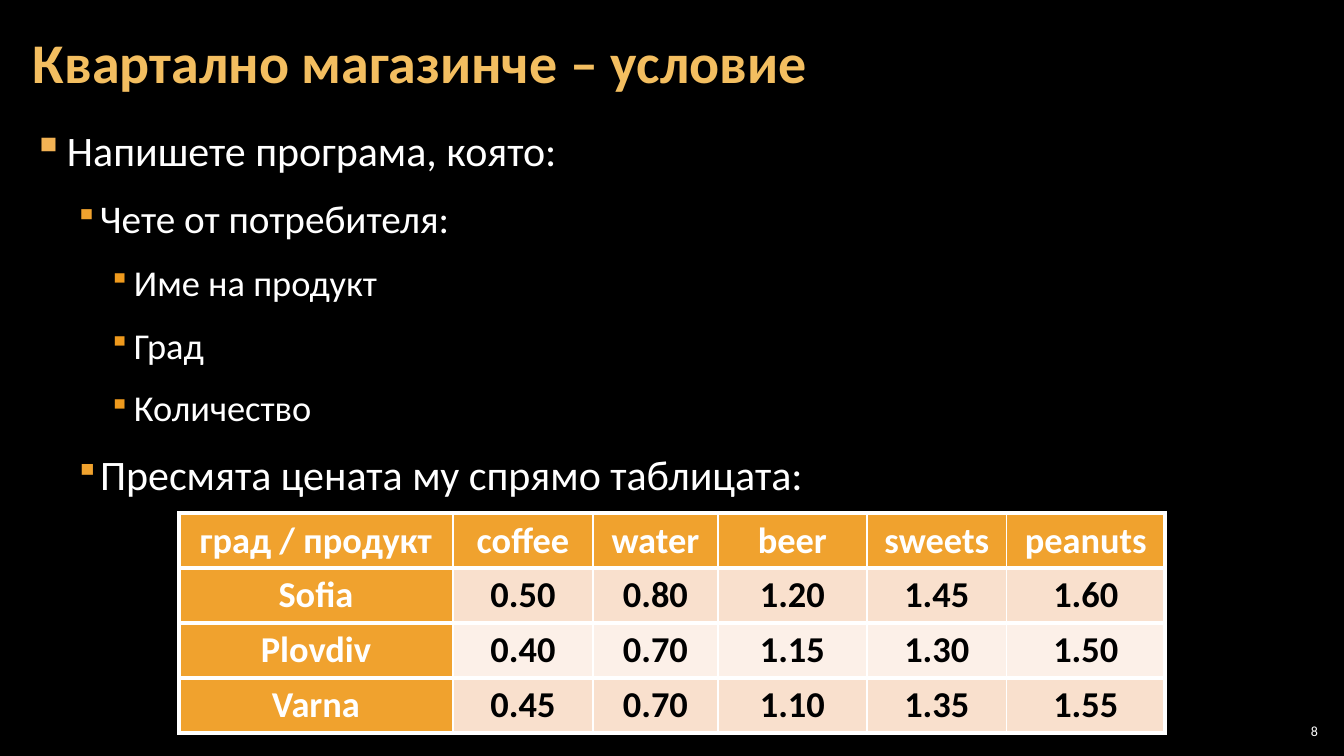
import pptx
import pptx.dml.color
import pptx.enum.text
import pptx.oxml
import pptx.oxml.ns
import pptx.util

RGBColor = pptx.dml.color.RGBColor
Align = pptx.enum.text.PP_ALIGN
Anchor = pptx.enum.text.MSO_ANCHOR

BLACK = RGBColor(0x00, 0x00, 0x00)
WHITE = RGBColor(0xFF, 0xFF, 0xFF)
TITLE_GOLD = RGBColor(0xF3, 0xBE, 0x60)
ORANGE = RGBColor(0xF0, 0xA2, 0x2E)
PEACH = RGBColor(0xF9, 0xE0, 0xCD)
PALE_PEACH = RGBColor(0xFC, 0xF0, 0xE8)

# Per level: left margin px, hanging px, bullet colour, bullet size in percent
BULLET_LEVELS = [
    (34, 34, RGBColor(0xF2, 0xB2, 0x54), 100),
    (67, 25, ORANGE, 80),
    (101, 25, RGBColor(0xEF, 0x9A, 0x1D), 80),
]

TASK_LINES = [
    (0, 30, "Напишете програма, която:"),
    (1, 28, "Чете от потребителя:"),
    (2, 26, "Име на продукт"),
    (2, 26, "Град"),
    (2, 26, "Количество"),
    (1, 30, "Пресмята цената му спрямо таблицата:"),
]

PRICES = [
    ["град / продукт", "coffee", "water", "beer", "sweets", "peanuts"],
    ["Sofia", "0.50", "0.80", "1.20", "1.45", "1.60"],
    ["Plovdiv", "0.40", "0.70", "1.15", "1.30", "1.50"],
    ["Varna", "0.45", "0.70", "1.10", "1.35", "1.55"],
]
COLUMN_WIDTHS = [274, 140, 125, 149, 140, 158]
ROW_HEIGHT = 55


def px(length):
    return pptx.util.Emu(round(length * 914400 / 100.8))


def write_text(paragraph, text, *, size, font="Calibri", color=WHITE, bold=False,
               align=Align.LEFT, line_spacing=None):
    paragraph.alignment = align
    if line_spacing:
        paragraph.line_spacing = line_spacing
    run = paragraph.add_run()
    run.text = text
    run.font.name = font
    run.font.size = pptx.util.Pt(size)
    run.font.bold = bold
    run.font.color.rgb = color


def append_xml(parent, xml):
    tag, rest = xml.split(" ", 1)
    parent.append(pptx.oxml.parse_xml(f"{tag} {pptx.oxml.ns.nsdecls('a')} {rest}"))


class SlideBuilder:
    def __init__(self, presentation, background):
        self.slide = presentation.slides.add_slide(presentation.slide_layouts[5])
        fill = self.slide.background.fill
        fill.solid()
        fill.fore_color.rgb = background

    def prepare_frame(self, shape, margin, anchor):
        frame = shape.text_frame
        frame.word_wrap = True
        frame.auto_size = pptx.enum.text.MSO_AUTO_SIZE.NONE
        frame.vertical_anchor = anchor
        frame.margin_left = frame.margin_right = px(margin)
        frame.margin_top = frame.margin_bottom = px(4)
        return frame

    def title(self, text, left, top, width, height):
        shape = self.slide.shapes.title
        shape.left, shape.top = px(left), px(top)
        shape.width, shape.height = px(width), px(height)
        frame = self.prepare_frame(shape, 12, Anchor.MIDDLE)
        write_text(frame.paragraphs[0], text, size=40, color=TITLE_GOLD,
                   bold=True, line_spacing=0.9)

    def text_box(self, left, top, width, height, margin, anchor=Anchor.TOP):
        shape = self.slide.shapes.add_textbox(px(left), px(top), px(width), px(height))
        return self.prepare_frame(shape, margin, anchor)

    def bullets(self, lines, left, top, width, height):
        frame = self.text_box(left, top, width, height, 12)
        for index, (level, size, text) in enumerate(lines):
            paragraph = frame.add_paragraph() if index else frame.paragraphs[0]
            write_text(paragraph, text, size=size, line_spacing=1.05)
            paragraph.level = level
            paragraph.space_before = paragraph.space_after = pptx.util.Pt(6)
            indent, hanging, color, percent = BULLET_LEVELS[level]
            properties = paragraph._p.get_or_add_pPr()
            properties.set("marL", str(px(indent)))
            properties.set("indent", str(-px(hanging)))
            append_xml(properties, f'<a:buClr ><a:srgbClr val="{color}"/></a:buClr>')
            append_xml(properties, f'<a:buSzPct val="{percent * 1000}"/>')
            append_xml(properties, '<a:buChar char="▪"/>')

    def page_number(self, text, left, top, width, height):
        frame = self.text_box(left, top, width, height, 4, Anchor.MIDDLE)
        write_text(frame.paragraphs[0], text, size=10, align=Align.RIGHT)

    def cell(self, cell, text, fill, color, borders):
        cell.vertical_anchor = Anchor.MIDDLE
        cell.margin_left = cell.margin_right = px(7)
        cell.margin_top = cell.margin_bottom = 0
        write_text(cell.text_frame.paragraphs[0], text, size=26, color=color,
                   bold=True, align=Align.CENTER)
        properties = cell._tc.get_or_add_tcPr()
        for side, points in borders.items():
            append_xml(properties, f'<a:ln{side} w="{pptx.util.Pt(points)}"><a:solidFill>'
                                   f'<a:srgbClr val="{WHITE}"/></a:solidFill></a:ln{side}>')
        cell.fill.solid()
        cell.fill.fore_color.rgb = fill

    def table(self, rows, column_widths, row_height, left, top):
        table = self.slide.shapes.add_table(
            len(rows), len(column_widths), px(left), px(top),
            px(sum(column_widths)), px(row_height * len(rows))).table
        for column, width in zip(table.columns, column_widths):
            column.width = px(width)
        last = len(column_widths) - 1
        for row_index, row in enumerate(rows):
            table.rows[row_index].height = px(row_height)
            for column_index, text in enumerate(row):
                is_header = row_index == 0 or column_index == 0
                band = PEACH if row_index % 2 else PALE_PEACH
                borders = {"L": 3 if column_index == 0 else 1,
                           "R": 3 if column_index == last else 1,
                           "T": 3, "B": 3}
                self.cell(table.cell(row_index, column_index), text,
                          ORANGE if is_header else band,
                          WHITE if is_header else BLACK, borders)


def main():
    presentation = pptx.Presentation()
    presentation.slide_width, presentation.slide_height = px(1344), px(756)
    builder = SlideBuilder(presentation, BLACK)

    # Heading and task description
    builder.title("Квартално магазинче – условие", 21, 4, 1055, 122)
    builder.bullets(TASK_LINES, 21, 118, 1301, 602)

    # Price table
    builder.table(PRICES, COLUMN_WIDTHS, ROW_HEIGHT, 179, 513)

    # Footer
    builder.page_number("8", 1275, 720, 47, 21)
    presentation.save("out.pptx")


if __name__ == "__main__":
    main()
